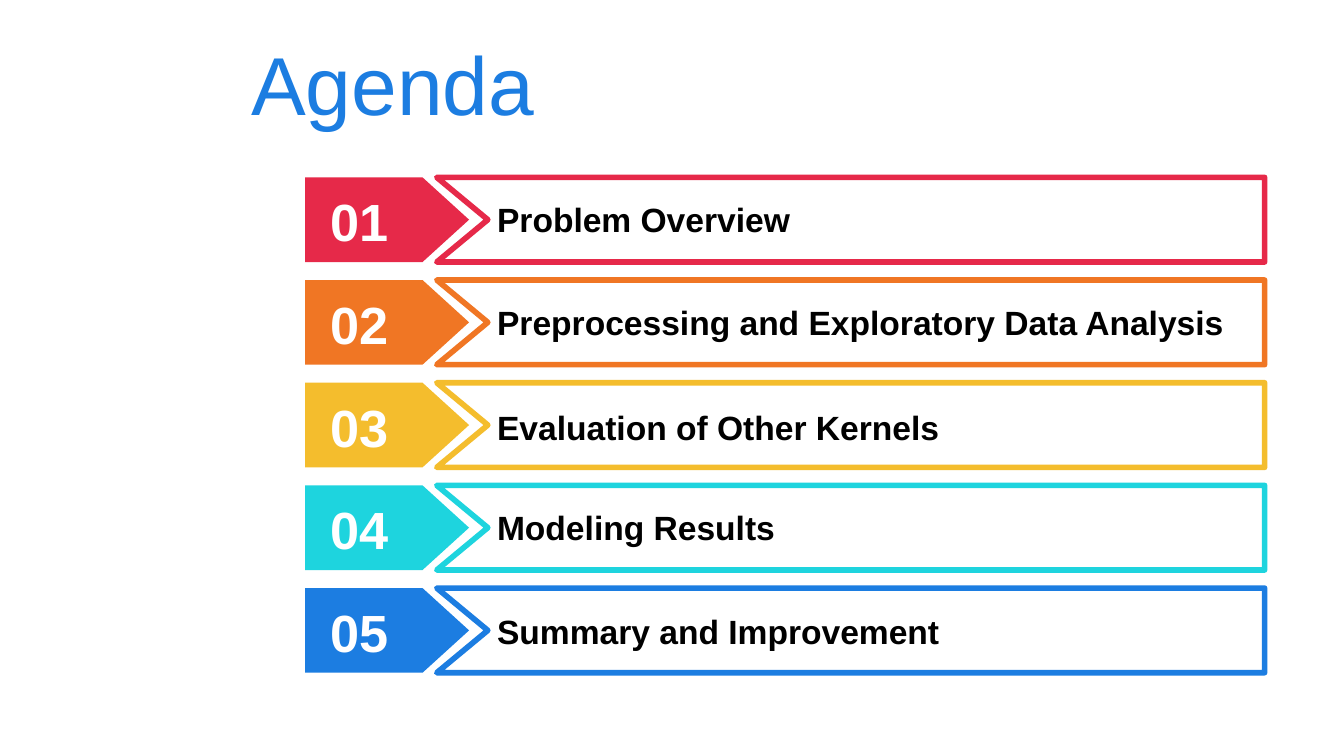
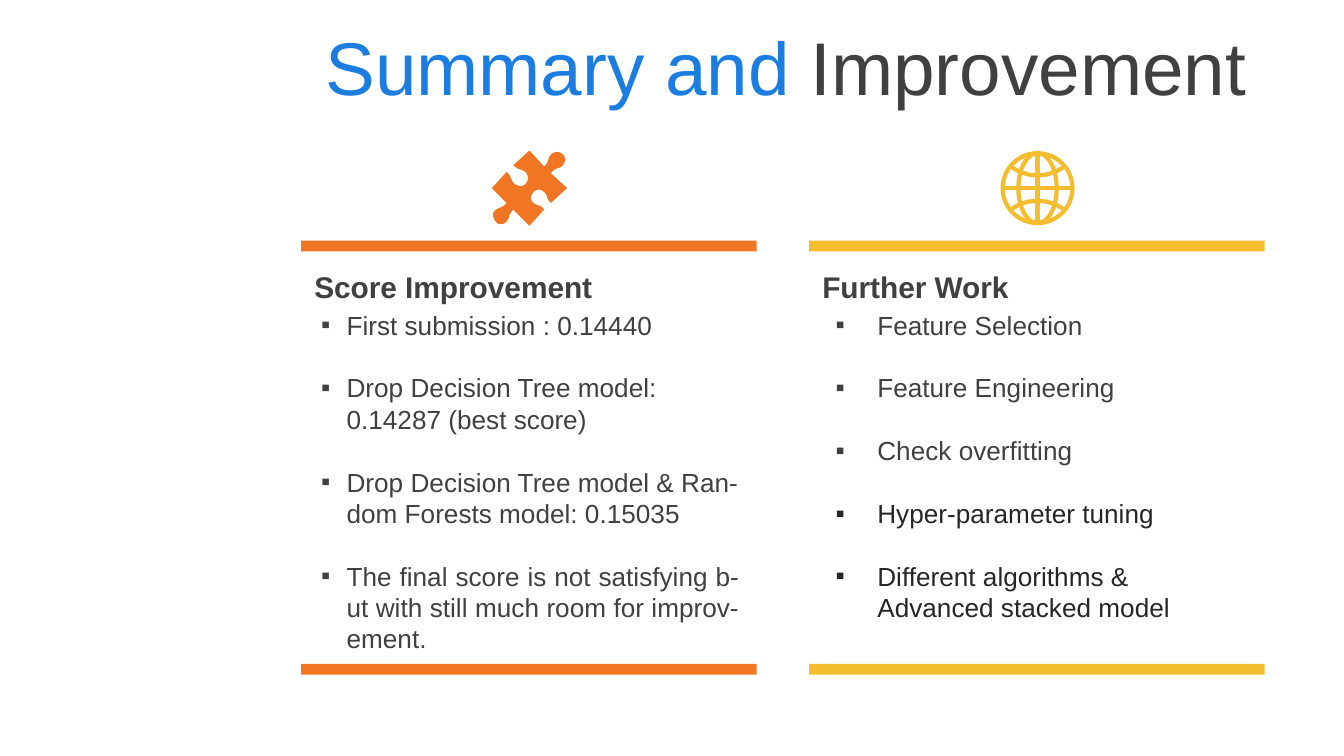
from lxml import etree
from pptx import Presentation
from pptx.dml.color import RGBColor
from pptx.enum.shapes import MSO_CONNECTOR, MSO_SHAPE
from pptx.enum.text import MSO_ANCHOR, PP_ALIGN
from pptx.oxml.ns import qn
from pptx.util import Inches, Pt

STRAIGHT = MSO_CONNECTOR.STRAIGHT
PLATE, RECT, OVAL = MSO_SHAPE.PENTAGON, MSO_SHAPE.RECTANGLE, MSO_SHAPE.OVAL
TOP, MIDDLE = MSO_ANCHOR.TOP, MSO_ANCHOR.MIDDLE
LEFT, CENTER, JUSTIFY = PP_ALIGN.LEFT, PP_ALIGN.CENTER, PP_ALIGN.JUSTIFY

RED = RGBColor(0xE6, 0x29, 0x49)
ORANGE = RGBColor(0xF0, 0x76, 0x24)
YELLOW = RGBColor(0xF4, 0xBD, 0x2D)
CYAN = RGBColor(0x1E, 0xD4, 0xDE)
BLUE = RGBColor(0x1C, 0x7D, 0xE1)
WHITE = RGBColor(0xFF, 0xFF, 0xFF)
BLACK = RGBColor(0, 0, 0)
GREY = RGBColor(0x40, 0x40, 0x40)
DARK = RGBColor(0x26, 0x26, 0x26)
FONT = "Arial"
WIDE = 10

# text, colour, drop of the text below the top of its row
AGENDA = [
    ("Problem Overview", RED, 0.11),
    ("Preprocessing and Exploratory Data Analysis", ORANGE, 0.11),
    ("Evaluation of Other Kernels", YELLOW, 0.13),
    ("Modeling Results", CYAN, 0.11),
    ("Summary and Improvement", BLUE, 0.12),
]
SCORES = [
    ("First submission : 0.14440", GREY, LEFT),
    ("Drop Decision Tree model: 0.14287 (best score)", GREY, LEFT),
    ("Drop Decision Tree model & Ran-dom Forests model: 0.15035", GREY, LEFT),
    ("The final score is not satisfying b-ut with still much room for "
     "improv-ement.", GREY, JUSTIFY),
]
PLANS = [
    ("Feature Selection", GREY, LEFT),
    ("Feature Engineering", GREY, LEFT),
    ("Check overfitting", GREY, LEFT),
    ("Hyper-parameter tuning", DARK, LEFT),
    ("Different algorithms & Advanced stacked model", DARK, LEFT),
]
# heading, items, colour, list offset, list width, bullet indent
COLUMNS = [
    ("Score Improvement", SCORES, ORANGE, 0.05, 3.31, 0.19),
    ("Further Work", PLANS, YELLOW, 0.1, 3.27, 0.31),
]

# Outlines in inches: a pair is a corner, six numbers are a cubic curve.
PUZZLE = [
    (4.19, 1.15), (4.21, 1.17, 4.21, 1.2, 4.19, 1.23),
    (4.17, 1.26, 4.13, 1.24, 4.1, 1.29), (4.22, 1.4), (4.1, 1.51),
    (4.06, 1.48, 4.08, 1.45, 4.05, 1.43), (4.02, 1.4, 3.99, 1.41, 3.97, 1.43),
    (3.95, 1.45, 3.94, 1.49, 3.97, 1.51), (4.01, 1.54, 4.02, 1.52, 4.05, 1.56),
    (3.94, 1.68), (3.82, 1.56), (3.78, 1.6, 3.8, 1.61, 3.77, 1.65),
    (3.74, 1.68, 3.7, 1.67, 3.69, 1.65), (3.67, 1.63, 3.66, 1.59, 3.68, 1.57),
    (3.71, 1.54, 3.74, 1.55, 3.77, 1.51), (3.66, 1.4), (3.77, 1.28),
    (3.81, 1.31, 3.8, 1.35, 3.83, 1.37), (3.86, 1.39, 3.89, 1.39, 3.91, 1.37),
    (3.93, 1.35, 3.94, 1.31, 3.91, 1.28), (3.87, 1.25, 3.86, 1.27, 3.82, 1.23),
    (3.94, 1.12), (4.05, 1.24), (4.09, 1.2, 4.07, 1.19, 4.1, 1.15),
    (4.13, 1.12, 4.17, 1.13, 4.19, 1.15),
]


def paint(shape, fill=None, line=None, width=3):
    shape.shadow.inherit = False
    if fill is None:
        shape.fill.background()
    else:
        shape.fill.solid()
        shape.fill.fore_color.rgb = fill
    if line is None:
        shape.line.fill.background()
    else:
        shape.line.color.rgb = line
        shape.line.width = Pt(width)
        etree.SubElement(shape.line._get_or_add_ln(), qn("a:round"))
    return shape


def block(slide, kind, x, y, w, h, **look):
    shape = slide.shapes.add_shape(kind, *map(Inches, (x, y, w, h)))
    return paint(shape, **look)


def trace(path, steps=6):
    """Turn corners and cubic curves into plain points."""
    dots = []
    for part in path:
        if len(part) == 2:
            dots.append(part)
            continue
        a, b, c, d = dots[-1], part[:2], part[2:4], part[4:]
        for i in range(1, steps + 1):
            t = i / steps
            u = 1 - t
            dots.append(tuple(
                u**3 * a[k] + 3 * u * u * t * b[k] + 3 * u * t * t * c[k]
                + t**3 * d[k] for k in (0, 1)))
    return dots


def outline(slide, path, close=True, **look):
    dots = [(Inches(x), Inches(y)) for x, y in trace(path)]
    pen = slide.shapes.build_freeform(*dots[0])
    pen.add_line_segments(dots[1:], close=close)
    return paint(pen.convert_to_shape(), **look)


def frame(slide, x, y, w, h, anchor=TOP, pad=0.05):
    box = slide.shapes.add_textbox(*map(Inches, (x, y, w, h))).text_frame
    box.word_wrap = True
    box.vertical_anchor = anchor
    box.margin_top = box.margin_bottom = Inches(pad)
    return box


def write(para, text, size, color, bold=False):
    run = para.add_run()
    run.text = text
    run.font.name = FONT
    run.font.size = Pt(size)
    run.font.bold = bold
    run.font.color.rgb = color


def title(slide, x, y, size, parts, align=LEFT):
    para = frame(slide, x, y, WIDE - x, 0.97, MIDDLE).paragraphs[0]
    para.alignment = align
    for text, color in parts:
        write(para, text, size, color)


def bullets(box, items, indent, size=14, pitch=16.8):
    """Fill a box with a list, one empty line's height between items."""
    for i, (text, color, align) in enumerate(items):
        para = box.add_paragraph() if i else box.paragraphs[0]
        props = para._p.get_or_add_pPr()
        props.set("marL", str(Inches(indent)))
        props.set("indent", str(-Inches(indent)))
        etree.SubElement(props, qn("a:buFont")).set("typeface", FONT)
        etree.SubElement(props, qn("a:buChar")).set("char", "▪")
        para.alignment = align
        para.line_spacing = Pt(pitch)
        if i:
            para.space_before = Pt(pitch)
        write(para, text, size, color)


def globe(slide, x, y, r, color):
    """Ring, meridian, axes and two parallels around a centre."""
    pen = 2.25
    for half in (r, 0.55 * r):
        block(slide, OVAL, x - half, y - r, 2 * half, 2 * r,
              line=color, width=pen)
    for dx, dy in ((r, 0), (0, r)):
        ends = map(Inches, (x - dx, y - dy, x + dx, y + dy))
        axis = slide.shapes.add_connector(STRAIGHT, *ends)
        axis.line.color.rgb = color
        axis.line.width = Pt(pen)
        etree.SubElement(axis._element.spPr, qn("a:effectLst"))
    for side in (-1, 1):
        far, near = y + side * 0.6 * r, y + side * 0.28 * r
        arc = [(x - 0.75 * r, far),
               (x - 0.3 * r, near, x + 0.3 * r, near, x + 0.75 * r, far)]
        outline(slide, arc, close=False, line=color, width=pen)


def agenda(slide):
    title(slide, 1.77, 0.13, 44, [("Agenda", BLUE)])
    left, high, pitch = 2.27, 0.63, 0.764
    start, notch, end = 3.25, 3.63, 9.41
    for i, (text, color, drop) in enumerate(AGENDA):
        y = 1.32 + i * pitch
        plate = block(slide, PLATE, left, y, 1.22, high, fill=color)
        plate.adjustments[0] = 0.55
        outline(slide, [(start, y), (end, y), (end, y + high),
                        (start, y + high), (notch, y + high / 2)],
                fill=WHITE, line=color)
        box = frame(slide, left + 0.09, y + 0.09, 0.66, 0.47, MIDDLE, 0)
        write(box.paragraphs[0], f"{i + 1:02}", 28, WHITE, True)
        box = frame(slide, 3.6, y + drop, 5.61, 0.4)
        write(box.paragraphs[0], text, 18, BLACK, True)


def summary(slide):
    title(slide, 1.69, 0, 40,
          [("Summary and ", BLUE), ("Improvement", GREY)], CENTER)
    for i, (head, items, color, shift, wide, indent) in enumerate(COLUMNS):
        x = 2.24 + i * 3.78
        for y in (1.79, 4.94):
            block(slide, RECT, x, y, 3.39, 0.08, fill=color)
        bullets(frame(slide, x + shift, 2.25, wide, 2.69), items, indent)
        box = frame(slide, x, 1.95, 3.27, 0.37)
        write(box.paragraphs[0], head, 16, GREY, True)
    outline(slide, PUZZLE, fill=ORANGE)
    globe(slide, 7.72, 1.4, 0.26, YELLOW)


def main():
    deck = Presentation()
    deck.slide_width = Inches(WIDE)
    deck.slide_height = deck.slide_width * 9 // 16
    for draw in (agenda, summary):
        draw(deck.slides.add_slide(deck.slide_layouts[6]))
    deck.save("out.pptx")


if __name__ == "__main__":
    main()
